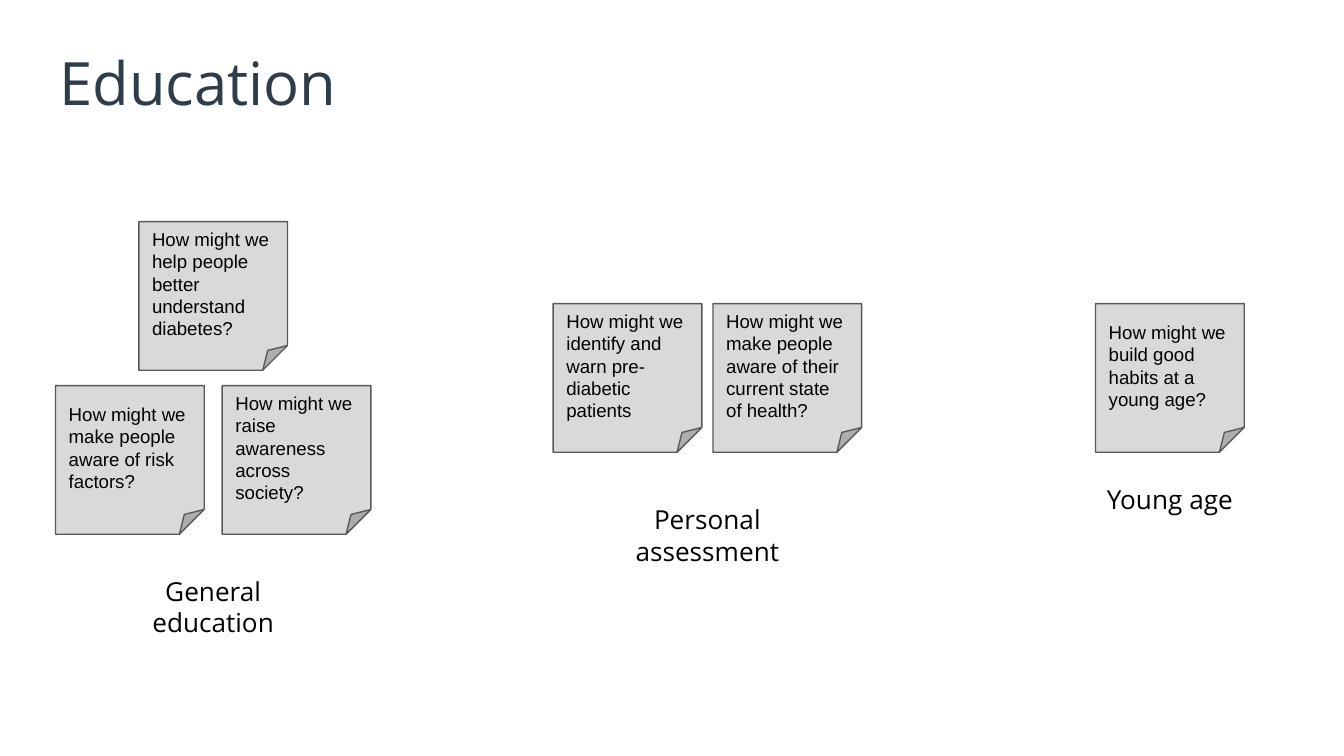
from dataclasses import dataclass

from pptx import Presentation
from pptx.dml.color import RGBColor as RGB
from pptx.enum.shapes import MSO_SHAPE as Shape
from pptx.enum.text import MSO_ANCHOR as Anchor, PP_ALIGN as Align
from pptx.util import Cm, Pt

# Content: each group has a label and rows of notes, with its placement in cm
TITLE = "Education"
GROUPS = [
    dict(label="General education", center=4.03, top=4.19, gap=0.34, label_top=10.62,
         rows=[["How might we help people better understand diabetes?"],
               ["How might we make people aware of risk factors?",
                "How might we raise awareness across society?"]]),
    dict(label="Personal assessment", center=13.37, top=5.74, gap=0.21, label_top=9.27,
         rows=[["How might we identify and warn pre-diabetic patients",
                "How might we make people aware of their current state of health?"]]),
    dict(label="Young age", center=22.11, top=5.74, gap=0, label_top=8.89,
         rows=[["How might we build good habits at a young age?"]]),
]

# Sizes in cm
NOTE = 2.81
ROW_GAP = 0.29
LABEL_W, LABEL_H = 4.65, 1.35
INSET = 0.25


@dataclass(frozen=True)
class Theme:
    heading_font: str = "Open Sans"
    note_font: str = "Arial"
    title_size: int = 32
    label_size: int = 14
    note_size: int = 10
    title: RGB = RGB(0x2D, 0x3D, 0x4A)
    text: RGB = RGB(0, 0, 0)
    note_fill: RGB = RGB(0xD9, 0xD9, 0xD9)
    note_line: RGB = RGB(0x59, 0x59, 0x59)


T = Theme()


def write(sp, text, font, size, color, align=Align.LEFT, anchor=Anchor.TOP):
    tf = sp.text_frame
    tf.word_wrap = True
    tf.vertical_anchor = anchor
    tf.margin_left = tf.margin_right = tf.margin_top = tf.margin_bottom = Cm(INSET)
    p = tf.paragraphs[0]
    p.text = text
    p.alignment = align
    p.font.name, p.font.size, p.font.color.rgb = font, Pt(size), color


def add_note(slide, left, top, text):
    sp = slide.shapes.add_shape(Shape.FOLDED_CORNER, Cm(left), Cm(top), Cm(NOTE), Cm(NOTE))
    sp.shadow.inherit = False
    sp.fill.solid()
    sp.fill.fore_color.rgb = T.note_fill
    sp.line.color.rgb = T.note_line
    sp.line.width = Pt(0.75)
    write(sp, text, T.note_font, T.note_size, T.text, anchor=Anchor.MIDDLE)


def add_group(slide, group):
    # Rows of notes, each centred on the group's axis
    for i, row in enumerate(group["rows"]):
        pitch = NOTE + group["gap"]
        left = group["center"] - (len(row) * pitch - group["gap"]) / 2
        top = group["top"] + i * (NOTE + ROW_GAP)
        for j, text in enumerate(row):
            add_note(slide, left + j * pitch, top, text)

    # Label below the notes
    sp = slide.shapes.add_textbox(Cm(group["center"] - LABEL_W / 2), Cm(group["label_top"]),
                                  Cm(LABEL_W), Cm(LABEL_H))
    write(sp, group["label"], T.heading_font, T.label_size, T.text, Align.CENTER)


def main():
    prs = Presentation()
    prs.slide_width, prs.slide_height = Cm(25.4), Cm(14.29)
    slide = prs.slides.add_slide(prs.slide_layouts[6])

    # Title
    sp = slide.shapes.add_textbox(Cm(0.87), Cm(0.61), Cm(23.67), Cm(1.6))
    write(sp, TITLE, T.heading_font, T.title_size, T.title)

    # Note groups
    for group in GROUPS:
        add_group(slide, group)

    prs.save("out.pptx")


if __name__ == "__main__":
    main()
